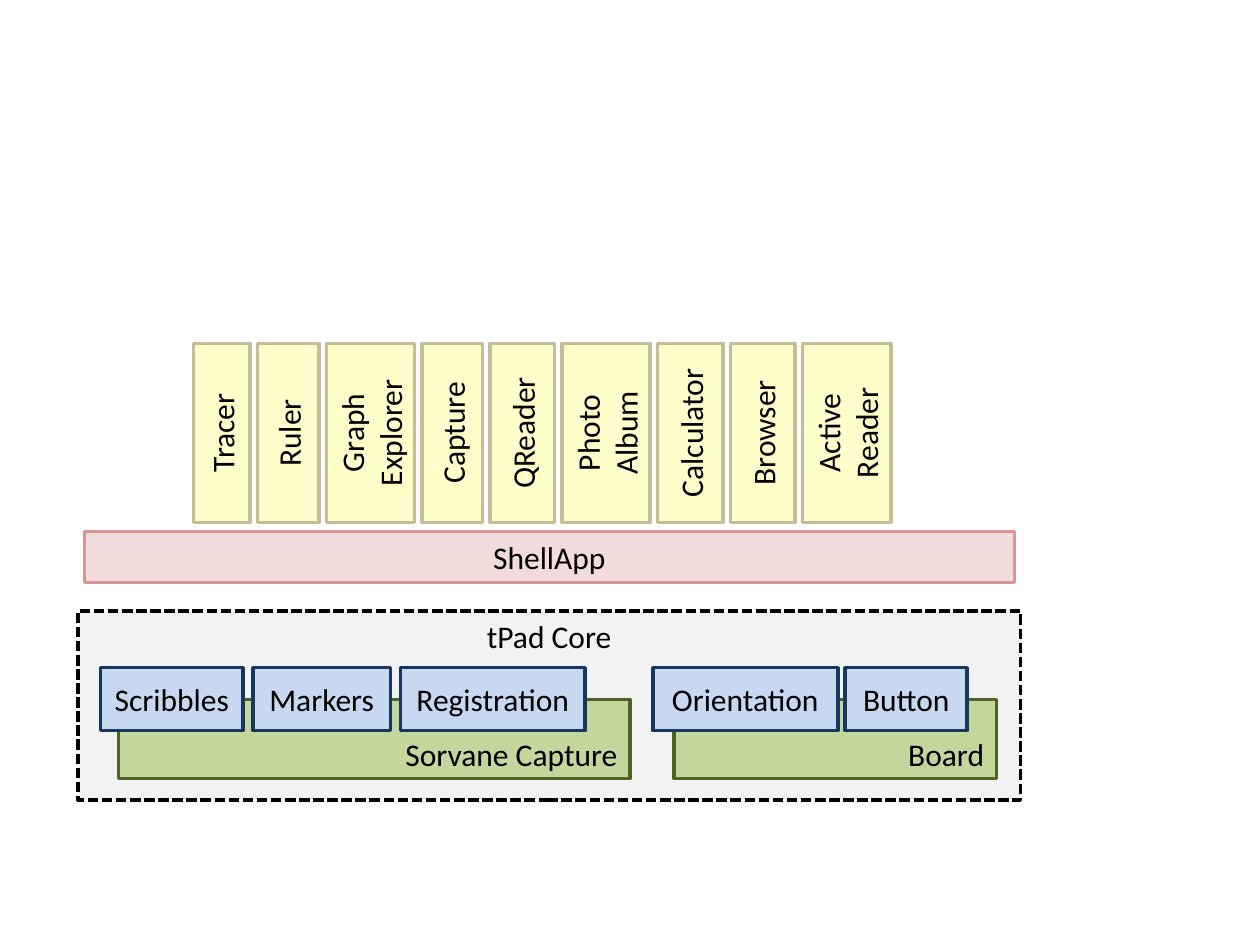
from pptx import Presentation
from pptx.dml.color import RGBColor
from pptx.enum.dml import MSO_LINE
from pptx.enum.shapes import MSO_SHAPE
from pptx.enum.text import MSO_ANCHOR, PP_ALIGN
from pptx.util import Cm, Pt

RECTANGLE = MSO_SHAPE.RECTANGLE
DASHED = MSO_LINE.SQUARE_DOT
TOP, MIDDLE, BOTTOM = MSO_ANCHOR.TOP, MSO_ANCHOR.MIDDLE, MSO_ANCHOR.BOTTOM
CENTER, RIGHT = PP_ALIGN.CENTER, PP_ALIGN.RIGHT
BLANK_LAYOUT = 6

# Fill and line of each kind of component
CORE = ("F2F2F2", "000000")
SERVICE = ("C3D69B", "4F6228")
MODULE = ("C6D9F1", "17375E")
SHELL = ("F2DCDB", "D99694")
APP = ("FFFFCC", "C4BD97")

APPS = [
    ("Tracer", 1.14), ("Ruler", 1.24), ("Graph\nExplorer", 1.78),
    ("Capture", 1.22), ("QReader", 1.3), ("Photo\nAlbum", 1.78),
    ("Calculator", 1.32), ("Browser", 1.3), ("Active\nReader", 1.78),
]
CAPTURE_MODULES = [("Scribbles", 2.87), ("Markers", 2.77), ("Registration", 3.73)]
BOARD_MODULES = [("Orientation", 3.73), ("Button", 2.46)]


def color(hex_value):
    return RGBColor.from_string(hex_value)


def add_box(slide, text, left, top, width, height, colors,
            anchor=MIDDLE, alignment=CENTER):
    shape = slide.shapes.add_shape(
        RECTANGLE, Cm(left), Cm(top), Cm(width), Cm(height))
    shape.shadow.inherit = False
    fill, line = colors
    shape.fill.solid()
    shape.fill.fore_color.rgb = color(fill)
    shape.line.color.rgb = color(line)
    shape.line.width = Pt(2)

    text_frame = shape.text_frame
    text_frame.word_wrap = True
    text_frame.vertical_anchor = anchor
    paragraph = text_frame.paragraphs[0]
    paragraph.text = text
    paragraph.alignment = alignment
    for run in paragraph.runs:
        run.font.name = "Calibri"
        run.font.size = Pt(18)
        run.font.color.rgb = color("000000")
    return shape


def add_upright_box(slide, text, left, top, width, height, colors):
    """Add a box that reads upwards; the lengths are those seen after turning."""
    shift = (width - height) / 2
    shape = add_box(slide, text, left + shift, top - shift, height, width, colors)
    shape.rotation = 270


def add_row(slide, items, left, top, height, gap, colors, add_item=add_box):
    """Place (text, width) items from left to right with equal gaps."""
    for text, width in items:
        add_item(slide, text, left, top, width, height, colors)
        left += width + gap


def add_core(slide):
    core = add_box(slide, "tPad Core", 1.57, 12.32, 19, 3.81, CORE, anchor=TOP)
    core.line.dash_style = DASHED
    add_box(slide, "Sorvane Capture", 2.39, 14.1, 10.31, 1.6, SERVICE, BOTTOM, RIGHT)
    add_row(slide, CAPTURE_MODULES, 2.03, 13.46, 1.27, 0.2, MODULE)
    add_box(slide, "Board", 13.59, 14.1, 6.5, 1.6, SERVICE, BOTTOM, RIGHT)
    add_row(slide, BOARD_MODULES, 13.16, 13.46, 1.27, 0.15, MODULE)


def main():
    presentation = Presentation()
    presentation.slide_width = Cm(25.4)
    presentation.slide_height = Cm(19.05)
    slide = presentation.slides.add_slide(presentation.slide_layouts[BLANK_LAYOUT])
    add_core(slide)
    add_box(slide, "ShellApp", 1.7, 10.72, 18.75, 1.02, SHELL)
    add_row(slide, APPS, 3.9, 6.92, 3.61, 0.15, APP, add_upright_box)
    presentation.save("out.pptx")


if __name__ == "__main__":
    main()
